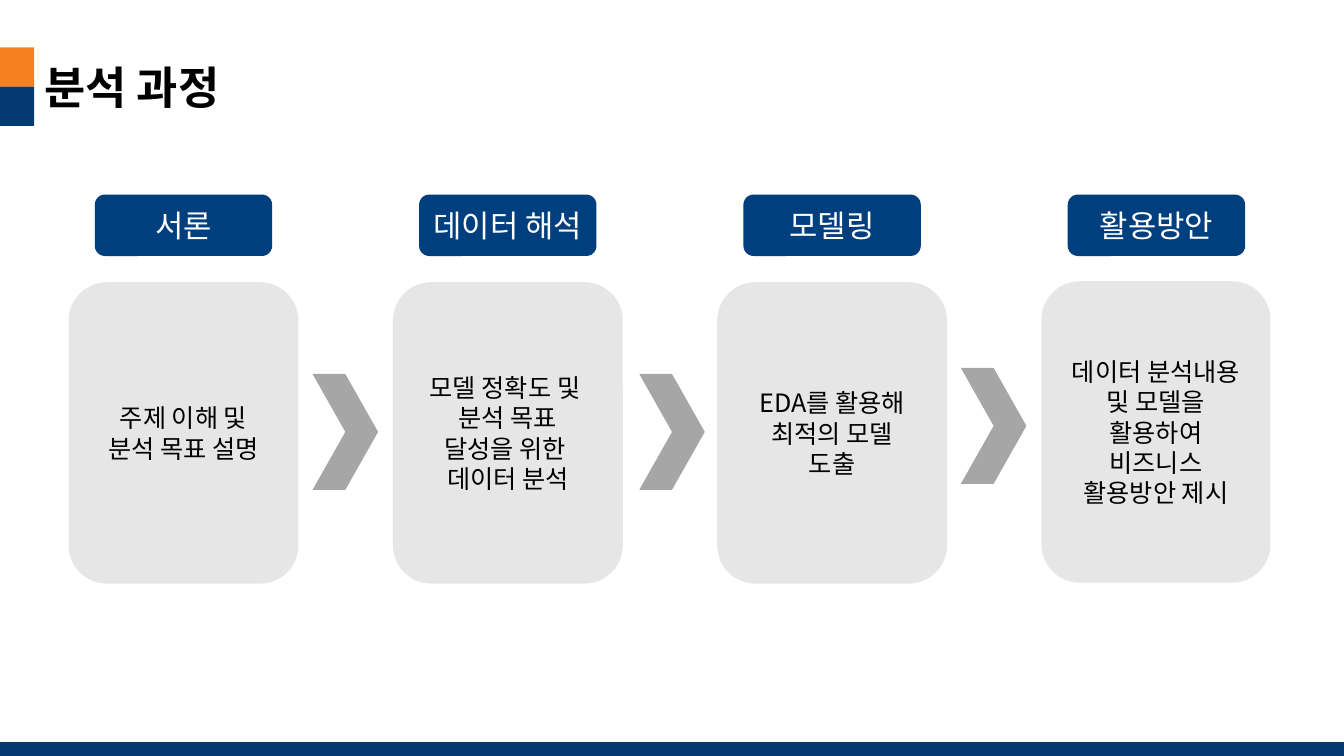
import pptx
import pptx.util
import pptx.dml.color
import pptx.enum.shapes
import pptx.enum.text
import pptx.oxml.ns
from dataclasses import dataclass
from lxml import etree

SHAPES = pptx.enum.shapes.MSO_SHAPE
ALIGN = pptx.enum.text.PP_ALIGN
ANCHOR = pptx.enum.text.MSO_ANCHOR
WIDTH, HEIGHT = 13.33, 7.5


@dataclass(frozen=True)
class Theme:
    font: str = "Noto Sans CJK KR"
    navy: str = "043B73"
    blue: str = "003F7E"
    orange: str = "F68121"
    card: str = "E7E6E6"
    arrow: str = "A6A6A6"
    white: str = "FFFFFF"
    black: str = "000000"
    title_size: int = 32
    label_size: int = 22
    body_size: int = 18
    rule_width: int = 10


THEME = Theme()

# Four equal columns, measured from the left edge of each card
FIRST_COLUMN = 0.68
COLUMN_PITCH = (10.33 - FIRST_COLUMN) / 3
LABEL_INSET = 0.26
LABEL_TOP, LABEL_WIDTH, LABEL_HEIGHT = 1.93, 1.76, 0.61
CARD_HEIGHT = 2.99
ARROW_WIDTH, ARROW_HEIGHT = 0.65, 1.15

# Label, card lines, card top, card width
STEPS = [
    ("서론", ["주제 이해 및", "분석 목표 설명"], 2.8, 2.28),
    ("데이터 해석",
     ["모델 정확도 및 ", "분석 목표", "달성을 위한 ", "데이터 분석"], 2.8, 2.28),
    ("모델링", ["EDA를 활용해", "최적의 모델", "도출"], 2.8, 2.28),
    ("활용방안",
     ["데이터 분석내용 및 모델을 활용하여", "비즈니스", "활용방안 제시"], 2.79, 2.27),
]
# Left and top of the arrow after each of the first three steps
ARROWS = [(3.1, 3.71), (6.34, 3.71), (9.53, 3.65)]


def color(value):
    return pptx.dml.color.RGBColor.from_string(value)


def inches(*lengths):
    return [pptx.util.Inches(length) for length in lengths]


def write(frame, lines, size, ink, align, bold=False):
    frame.text = "\n".join(lines)
    for paragraph in frame.paragraphs:
        paragraph.alignment = align
        for run in paragraph.runs:
            run.font.size = pptx.util.Pt(size)
            run.font.bold = bold
            run.font.name = THEME.font
            run.font.color.rgb = color(ink)
            # Hangul takes its typeface from the East Asian font
            hangul = etree.SubElement(run.font._element, pptx.oxml.ns.qn("a:ea"))
            hangul.set("typeface", THEME.font)


def add_block(slide, kind, box, fill):
    block = slide.shapes.add_shape(kind, *inches(*box))
    block.shadow.inherit = False
    block.fill.solid()
    block.fill.fore_color.rgb = color(fill)
    block.line.fill.background()
    return block


def add_text_block(slide, box, fill, lines, size, ink, wrap=True):
    block = add_block(slide, SHAPES.ROUNDED_RECTANGLE, box, fill)
    block.text_frame.word_wrap = wrap
    block.text_frame.vertical_anchor = ANCHOR.MIDDLE
    write(block.text_frame, lines, size, ink, ALIGN.CENTER)


def add_footer_rule(slide):
    level = 7.43
    rule = slide.shapes.add_connector(
        pptx.enum.shapes.MSO_CONNECTOR.STRAIGHT, *inches(0, level, WIDTH, level))
    rule.line.color.rgb = color(THEME.navy)
    rule.line.width = pptx.util.Pt(THEME.rule_width)
    etree.SubElement(rule._element.spPr, pptx.oxml.ns.qn("a:effectLst"))


def add_title(slide, text):
    side, height, top = 0.34, 0.39, 0.47
    for row, fill in enumerate((THEME.orange, THEME.navy)):
        add_block(slide, SHAPES.RECTANGLE, (0, top + row * height, side, height), fill)
    title = slide.shapes.add_textbox(*inches(side, 0.54, 2.08, 0.64))
    title.text_frame.word_wrap = False
    write(title.text_frame, [text], THEME.title_size, THEME.black, ALIGN.LEFT, bold=True)


def add_step(slide, column, label, lines, card_top, card_width):
    left = FIRST_COLUMN + column * COLUMN_PITCH
    add_text_block(slide, (left + LABEL_INSET, LABEL_TOP, LABEL_WIDTH, LABEL_HEIGHT),
                   THEME.blue, [label], THEME.label_size, THEME.white, wrap=False)
    add_text_block(slide, (left, card_top, card_width, CARD_HEIGHT),
                   THEME.card, lines, THEME.body_size, THEME.black)


def main():
    deck = pptx.Presentation()
    deck.slide_width, deck.slide_height = inches(WIDTH, HEIGHT)
    slide = deck.slides.add_slide(deck.slide_layouts[6])

    # Frame of the slide
    add_footer_rule(slide)
    add_title(slide, "분석 과정")

    # Process steps and the arrows between them
    for column, step in enumerate(STEPS):
        add_step(slide, column, *step)
    for left, top in ARROWS:
        add_block(slide, SHAPES.CHEVRON, (left, top, ARROW_WIDTH, ARROW_HEIGHT), THEME.arrow)

    deck.save("out.pptx")


if __name__ == "__main__":
    main()
